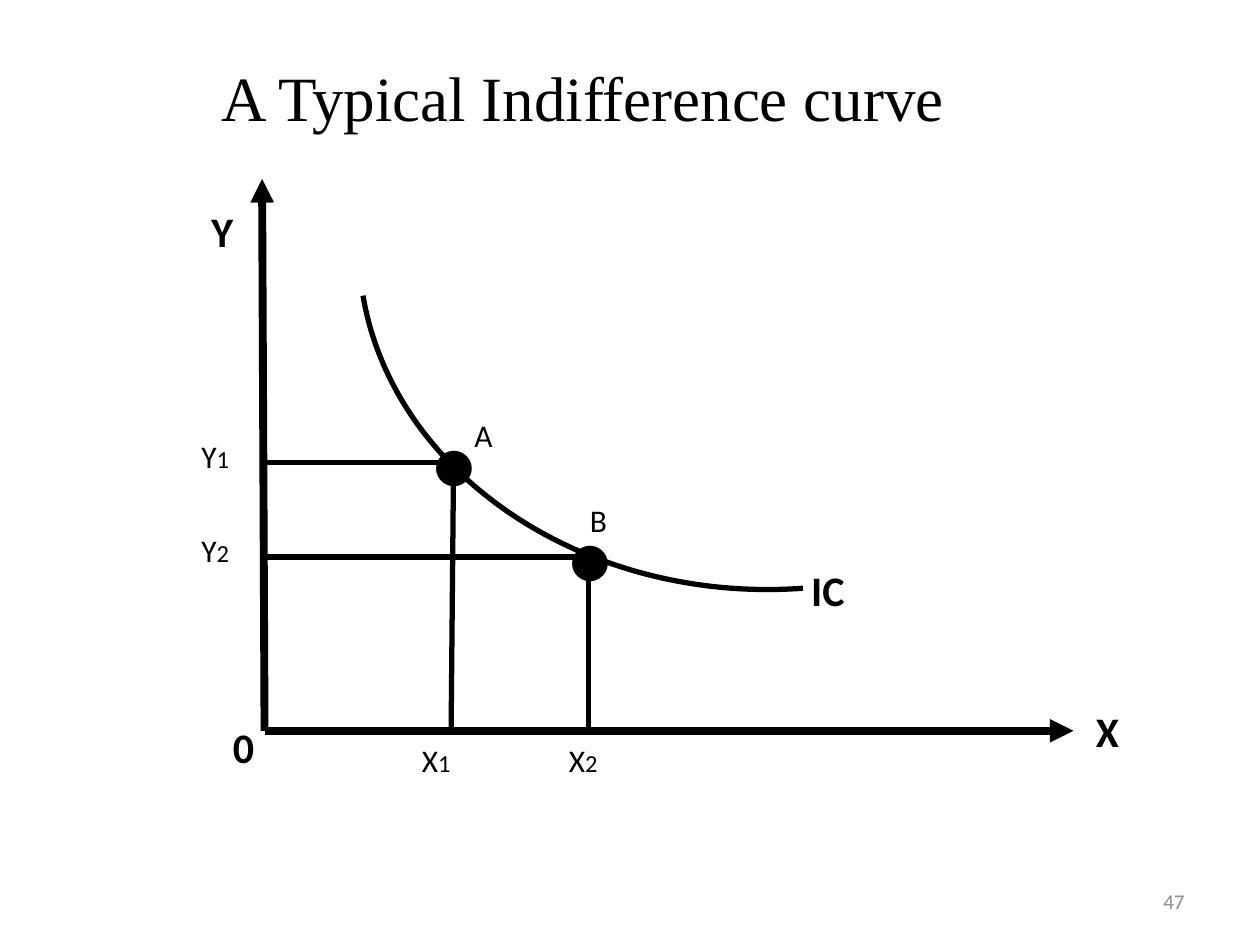
from math import cos, radians, sin

from lxml import etree
from pptx import Presentation
from pptx.dml.color import RGBColor
from pptx.enum.shapes import MSO_CONNECTOR
from pptx.enum.text import MSO_ANCHOR, MSO_AUTO_SIZE, PP_ALIGN
from pptx.oxml.ns import qn
from pptx.util import Pt

STRAIGHT = MSO_CONNECTOR.STRAIGHT
LEFT, CENTER, RIGHT = PP_ALIGN.LEFT, PP_ALIGN.CENTER, PP_ALIGN.RIGHT
TOP, MIDDLE = MSO_ANCHOR.TOP, MSO_ANCHOR.MIDDLE
FIT = MSO_AUTO_SIZE.SHAPE_TO_FIT_TEXT
BLACK, GREY = "000000", "8C8C8C"

prs = Presentation()
prs.slide_width, prs.slide_height = Pt(720), Pt(540)
slide = prs.slides.add_slide(prs.slide_layouts[6])


def add_text(box, text, size, subscript="", bold=False, font="Calibri",
             color=BLACK, align=LEFT, anchor=TOP, wrap=True):
    frame = slide.shapes.add_textbox(*map(Pt, box)).text_frame
    frame.word_wrap = wrap
    frame.auto_size = FIT
    frame.vertical_anchor = anchor
    paragraph = frame.paragraphs[0]
    paragraph.alignment = align
    paragraph.font.name = font
    paragraph.font.size = Pt(size)
    paragraph.font.bold = bold
    paragraph.font.color.rgb = RGBColor.from_string(color)
    paragraph.add_run().text = text
    if subscript:
        index = paragraph.add_run()
        index.text = subscript
        index.font.size = Pt(14)


def add_line(start, end, width, arrow=False):
    line = slide.shapes.add_connector(STRAIGHT, *map(Pt, start + end))
    line.line.color.rgb = RGBColor.from_string(BLACK)
    line.line.width = Pt(width)
    if arrow:
        etree.SubElement(line.line._get_or_add_ln(), qn("a:tailEnd"), type="triangle")
    etree.SubElement(line._element.spPr, qn("a:effectLst"))


# Slide number
add_text((516, 500.4, 168, 28.8), "47", 12, color=GREY, align=RIGHT, anchor=MIDDLE)

# Axes
origin = (151.2, 417.6)
add_line(origin, (613.44, 417.6), 4.5, arrow=True)
add_line(origin, (149.76, 102.24), 4.5, arrow=True)

# Indifference curve: part of an ellipse, from upper left to lower right
center_x, center_y, radius_x, radius_y = 438.5, 141.8, 233.3, 195.1
curve_points = [
    (Pt(center_x - radius_x * cos(radians(angle))),
     Pt(center_y + radius_y * sin(radians(angle))))
    for angle in range(8, 96)
]
builder = slide.shapes.build_freeform(*curve_points[0])
builder.add_line_segments(curve_points[1:], close=False)
curve = builder.convert_to_shape()
curve.shadow.inherit = False
curve.fill.background()
curve.line.color.rgb = RGBColor.from_string(BLACK)
curve.line.width = Pt(3)

# Axis, origin and curve labels
for left, top, width, label in [
    (113.76, 113.76, 31.68, "Y"),
    (619.2, 399.6, 31.68, "X"),
    (456.48, 318.96, 41.04, "IC"),
    (126, 408.96, 26.64, "0"),
]:
    add_text((left, top, width, 36), label, 24, bold=True, wrap=False)

# Points on the curve
for left, top in [(240.48, 229.68), (318.24, 284.4)]:
    add_text((left, top, 30.96, 64.8), "•", 48, bold=True, wrap=False)

# Guide lines to both axes
for start, end in [
    ((257.76, 264.24), (149.76, 264.24)),
    ((342, 318.24), (149.76, 318.24)),
    ((259.2, 262.08), (257.76, 419.76)),
    ((336.24, 318.24), (336.24, 419.76)),
]:
    add_line(start, end, 3)

# Quantities on the axes
for left, top, axis, index in [
    (108, 246, "Y", "1"),
    (108, 300, "Y", "2"),
    (234, 420, "X", "1"),
    (318, 420, "X", "2"),
]:
    add_text((left, top, 42, 30), axis, 18, subscript=index)

# Point names
add_text((264, 234, 24, 28.8), "A", 18)
add_text((330, 283, 24, 28.8), "B", 18)

# Title
add_text((108, 30, 450, 51), "A Typical Indifference curve", 36,
         font="Times New Roman", align=CENTER)

prs.save("out.pptx")
